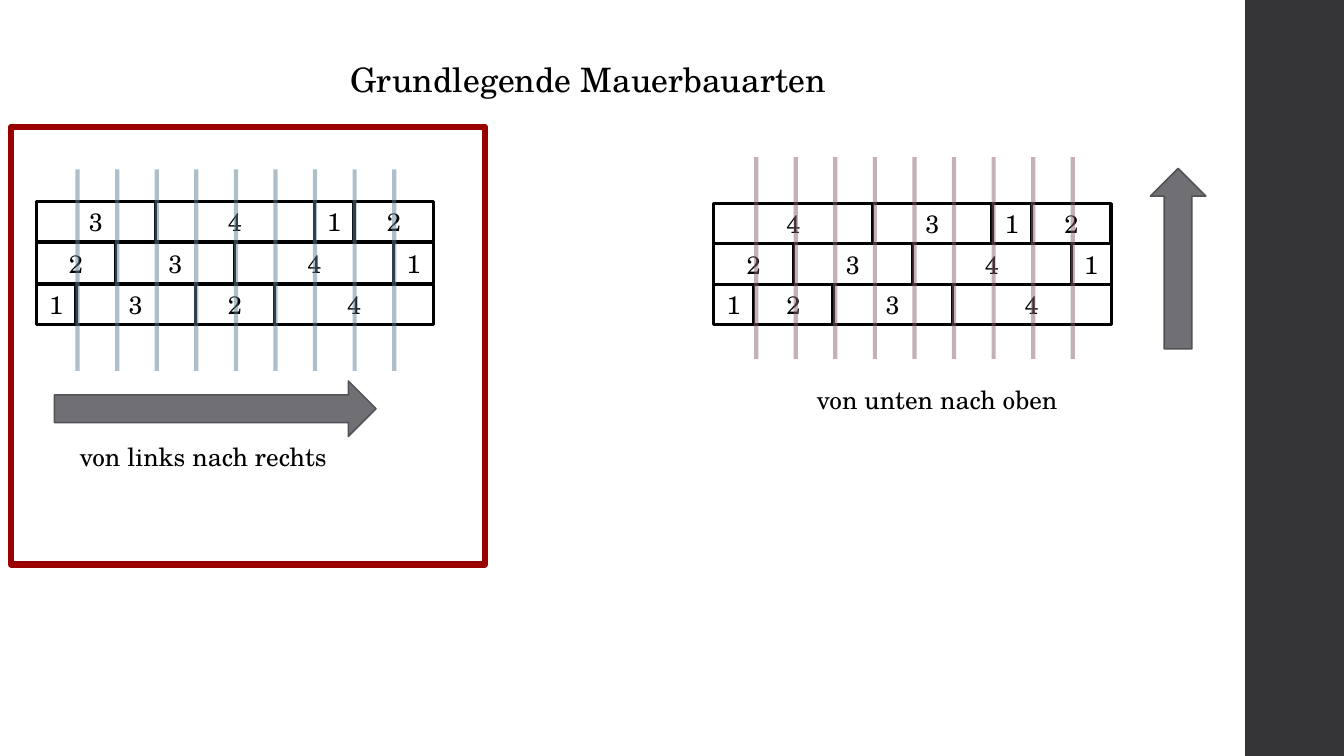
from lxml.etree import SubElement
from pptx import Presentation
from pptx.dml.color import RGBColor
from pptx.enum.shapes import MSO_CONNECTOR, MSO_SHAPE
from pptx.enum.text import MSO_ANCHOR, MSO_AUTO_SIZE, PP_ALIGN
from pptx.oxml.ns import qn
from pptx.util import Pt

PX = 9144  # 100 px to the inch
SLIDE_W, SLIDE_H = 1333, 750
FONT = "TeX Gyre Schola"
COLORS = {
    "black": "000000", "white": "FFFFFF", "sidebar": "353537",
    "arrow": "6F6F74", "arrow_edge": "525256", "frame": "9A0000",
    "blue": "618197", "mauve": "8D6374",
}

TITLE = ("Grundlegende Mauerbauarten", (338, 54, 495, 50))
SIDEBAR = (1235, 0, 98, 750)
FRAME = (11, 126, 470, 434)
# Rows run from top to bottom; each number is a brick's length in units.
WALLS = [
    {"rows": [(4, 3, 1, 2), (2, 3, 4, 1), (1, 2, 3, 4)],
     "at": (708, 202), "pitch": 40,
     "joints": (750, 156), "joint_color": "mauve",
     "arrow": (1141, 167, 55, 179), "turn": 0,
     "label": ("von unten nach oben", (800, 376, 262, 40))},
    {"rows": [(3, 4, 1, 2), (2, 3, 4, 1), (1, 3, 2, 4)],
     "at": (36, 200), "pitch": 41,
     "joints": (77, 168), "joint_color": "blue",
     "arrow": (186, 246, 55, 319), "turn": 90,
     "label": ("von links nach rechts", (69, 433, 269, 40))},
]
WALL_W, WALL_UNITS, BRICK_H = 394, 10, 40
JOINT_COUNT, JOINT_SPAN, JOINT_H = 9, 314, 200


def emu(*lengths):
    return [round(n * PX) for n in lengths]


def rgb(name):
    return RGBColor.from_string(COLORS[name])


def add_shape(s, kind, box, fill=None, line=None, width=0):
    sp = s.shapes.add_shape(kind, *emu(*box))
    sp.shadow.inherit = False
    if fill:
        sp.fill.solid()
        sp.fill.fore_color.rgb = rgb(fill)
    else:
        sp.fill.background()
    if line:
        sp.line.color.rgb = rgb(line)
        sp.line.width = Pt(width)
    else:
        sp.line.fill.background()
    return sp


def write(sp, text, size=18, align=PP_ALIGN.LEFT, anchor=MSO_ANCHOR.TOP, wrap=False):
    tf = sp.text_frame
    tf.word_wrap = wrap
    tf.auto_size = MSO_AUTO_SIZE.SHAPE_TO_FIT_TEXT
    tf.vertical_anchor = anchor
    p = tf.paragraphs[0]
    p.alignment = align
    r = p.add_run()
    r.text = text
    r.font.name = FONT
    r.font.size = Pt(size)
    r.font.color.rgb = rgb("black")


def add_label(s, text, box, size=18):
    write(s.shapes.add_textbox(*emu(*box)), text, size=size)


def add_bricks(s, wall):
    left, top = wall["at"]
    unit = WALL_W / WALL_UNITS
    for row, bricks in enumerate(wall["rows"]):
        y = top + row * wall["pitch"]
        for i, length in enumerate(bricks):
            x = left + sum(bricks[:i]) * unit
            sp = add_shape(s, MSO_SHAPE.RECTANGLE, (x, y, length * unit, BRICK_H),
                           "white", "black", 2.25)
            write(sp, str(length), align=PP_ALIGN.CENTER,
                  anchor=MSO_ANCHOR.MIDDLE, wrap=True)


def add_joints(s, wall):
    """Draw the half-transparent vertical lines marking each unit."""
    left, top = wall["joints"]
    for i in range(JOINT_COUNT):
        x = left + i * JOINT_SPAN / (JOINT_COUNT - 1)
        line = s.shapes.add_connector(MSO_CONNECTOR.STRAIGHT,
                                      *emu(x, top + JOINT_H, x, top))
        line.line.color.rgb = rgb(wall["joint_color"])
        line.line.width = Pt(3)
        color = line.line._ln.find(".//" + qn("a:srgbClr"))
        SubElement(color, qn("a:alpha"), val="50000")
        SubElement(line._element.spPr, qn("a:effectLst"))


def main():
    prs = Presentation()
    prs.slide_width, prs.slide_height = emu(SLIDE_W, SLIDE_H)
    s = prs.slides.add_slide(prs.slide_layouts[6])
    add_shape(s, MSO_SHAPE.RECTANGLE, SIDEBAR, "sidebar")
    add_label(s, *TITLE, size=24)
    for wall in WALLS:
        add_bricks(s, wall)
        arrow = add_shape(s, MSO_SHAPE.UP_ARROW, wall["arrow"],
                          "arrow", "arrow_edge", 1.1)
        arrow.rotation = wall["turn"]
        add_joints(s, wall)
        add_label(s, *wall["label"])
    add_shape(s, MSO_SHAPE.RECTANGLE, FRAME, line="frame", width=4.5)
    prs.save("out.pptx")


if __name__ == "__main__":
    main()
